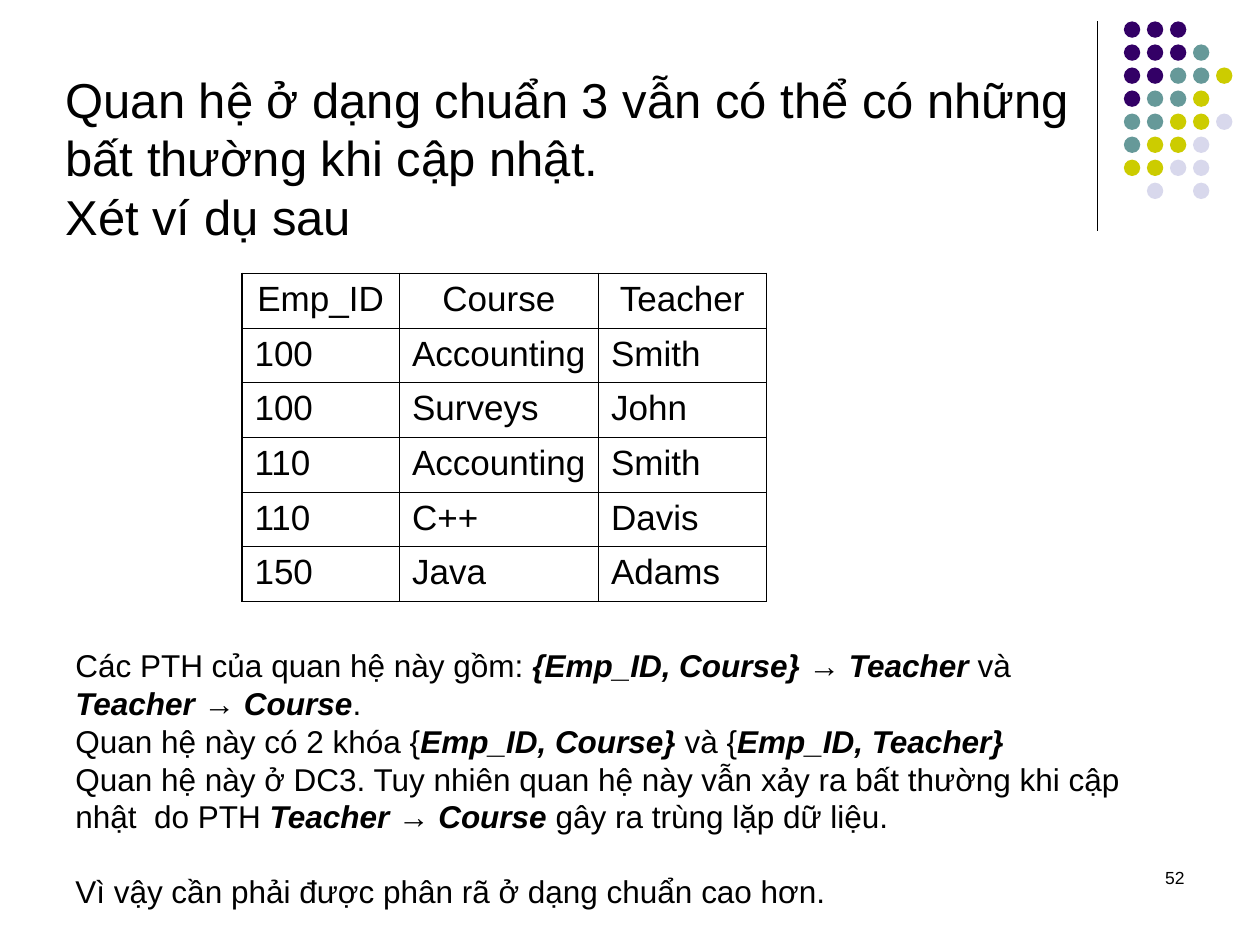
from lxml import etree
from pptx import Presentation
from pptx import util as u
from pptx.dml.color import RGBColor
from pptx.enum import shapes, text
from pptx.oxml import ns

COLORS = {"ink": "000000", "purple": "330066", "teal": "669999",
          "olive": "CCCC00", "lilac": "D8D8EC"}
DOT_COLORS = {"p": "purple", "t": "teal", "o": "olive", "l": "lilac"}
DOT_ROWS = ["ppp", "pppt", "pptto", "ptto", "ttool", "tool", "ooll", " l l"]
DOT_PITCH = 1.28 / 7

COLUMN_WIDTHS = [1.25, 1.58, 1.33]
COURSES = [
    ("Emp_ID", "Course", "Teacher"),
    ("100", "Accounting", "Smith"),
    ("100", "Surveys", "John"),
    ("110", "Accounting", "Smith"),
    ("110", "C++", "Davis"),
    ("150", "Java", "Adams"),
]

# Asterisks switch bold italic on and off; \n is a line break
TITLE = ["Quan hệ ở dạng chuẩn 3 vẫn có thể có những bất thường khi cập nhật.",
         "Xét ví dụ sau"]
NOTES = [
    "Các PTH của quan hệ này gồm: *{Emp_ID, Course} → Teacher *và \n"
    "*Teacher → Course*.",
    "Quan hệ này có 2 khóa {*Emp_ID, Course}* và {*Emp_ID, Teacher}*",
    "Quan hệ này ở DC3. Tuy nhiên quan hệ này vẫn xảy ra bất thường khi cập "
    "nhật  do PTH *Teacher → Course *gây ra trùng lặp dữ liệu.",
]
CONCLUSION = "Vì vậy cần phải được phân rã ở dạng chuẩn cao hơn."


def rgb(name):
    return RGBColor.from_string(COLORS[name])


def box(*lengths):
    return [u.Inches(v) for v in lengths]


class SlideBuilder:
    """Holds the style and the current slide."""

    font = "Arial"

    def __init__(self, slide):
        self.slide = slide

    def add_text(self, tf, paragraphs, size, **formats):
        for i, content in enumerate(paragraphs):
            p = tf.paragraphs[0] if i == 0 else tf.add_paragraph()
            for name, value in formats.items():
                setattr(p, name, value)
            for j, part in enumerate(content.split("*")):
                for k, line in enumerate(part.split("\n")):
                    if k:
                        p.add_line_break()
                    if line:
                        self.add_run(p, line, size, emphasis=j % 2 == 1)
        return tf.paragraphs[-1]

    def add_run(self, p, line, size, emphasis):
        r = p.add_run()
        r.text = line
        style = {"name": self.font, "size": u.Pt(size),
                 "bold": emphasis, "italic": emphasis}
        for name, value in style.items():
            setattr(r.font, name, value)
        r.font.color.rgb = rgb("ink")

    def title(self, at, paragraphs, size):
        sp = self.slide.shapes.title
        sp.left, sp.top, sp.width, sp.height = box(*at)
        tf = sp.text_frame
        tf.auto_size = text.MSO_AUTO_SIZE.NONE
        tf.vertical_anchor = text.MSO_ANCHOR.BOTTOM
        self.add_text(tf, paragraphs, size, alignment=text.PP_ALIGN.LEFT)

    def text_box(self, at, paragraphs, size, **formats):
        tf = self.slide.shapes.add_textbox(*box(*at)).text_frame
        tf.word_wrap = True
        return self.add_text(tf, paragraphs, size, **formats)

    def line(self, start, end, width):
        cx = self.slide.shapes.add_connector(
            shapes.MSO_CONNECTOR.STRAIGHT, *box(*start, *end))
        cx.line.color.rgb = rgb("ink")
        cx.line.width = u.Pt(width)
        etree.SubElement(cx._element.spPr, ns.qn("a:effectLst"))

    def dots(self, left, top, size):
        group = self.slide.shapes.add_group_shape()
        for row, keys in enumerate(DOT_ROWS):
            for col, key in enumerate(keys):
                if key == " ":
                    continue
                at = (left + col * DOT_PITCH, top + row * DOT_PITCH, size, size)
                sp = group.shapes.add_shape(shapes.MSO_SHAPE.OVAL, *box(*at))
                sp.shadow.inherit = False
                sp.fill.solid()
                sp.fill.fore_color.rgb = rgb(DOT_COLORS[key])
                sp.line.fill.background()

    def table(self, at, rows, widths, size):
        frame = self.slide.shapes.add_table(len(rows), len(widths), *box(*at))
        table = frame.table
        for col, width in zip(table.columns, widths):
            col.width = u.Inches(width)
        for i, row in enumerate(rows):
            table.rows[i].height = u.Inches(at[3] / len(rows))
            align = text.PP_ALIGN.LEFT if i else text.PP_ALIGN.CENTER
            for j, value in enumerate(row):
                cell = table.cell(i, j)
                self.add_text(cell.text_frame, [value], size,
                              alignment=align, space_before=u.Pt(5))
                self.borders(cell, {"L": j == 0, "R": False, "T": i == 0,
                                    "B": i == len(rows) - 1})
                cell.fill.background()

    def borders(self, cell, heavy_sides):
        tc_pr = cell._tc.get_or_add_tcPr()
        for side, heavy in heavy_sides.items():
            ln = etree.SubElement(tc_pr, ns.qn(f"a:ln{side}"),
                                  w=str(u.Pt(1.08 if heavy else 0.45)))
            fill = etree.SubElement(ln, ns.qn("a:solidFill"))
            etree.SubElement(fill, ns.qn("a:srgbClr"), val=COLORS["ink"])


def main():
    prs = Presentation()
    prs.slide_width, prs.slide_height = box(10, 7.5)
    b = SlideBuilder(prs.slides.add_slide(prs.slide_layouts[5]))

    # Corner decoration
    b.line((8.71, 0.17), (8.71, 1.83), 0.75)
    b.dots(8.92, 0.17, 0.13)

    # Slide number and title
    b.text_box((7.17, 6.83, 2.33, 0.5), ["52"], 10,
               alignment=text.PP_ALIGN.RIGHT)
    b.title((0.42, 0.5, 8.17, 1.5), TITLE, 28)

    # Example relation
    b.table((1.92, 2.17, 4.17, 2.6), COURSES, COLUMN_WIDTHS, 20)

    # Dependencies and conclusion
    last = b.text_box((0.5, 5.08, 8.67, 2.2), NOTES + [CONCLUSION], 18)
    last.space_before = u.Pt(21)

    prs.save("out.pptx")


if __name__ == "__main__":
    main()
